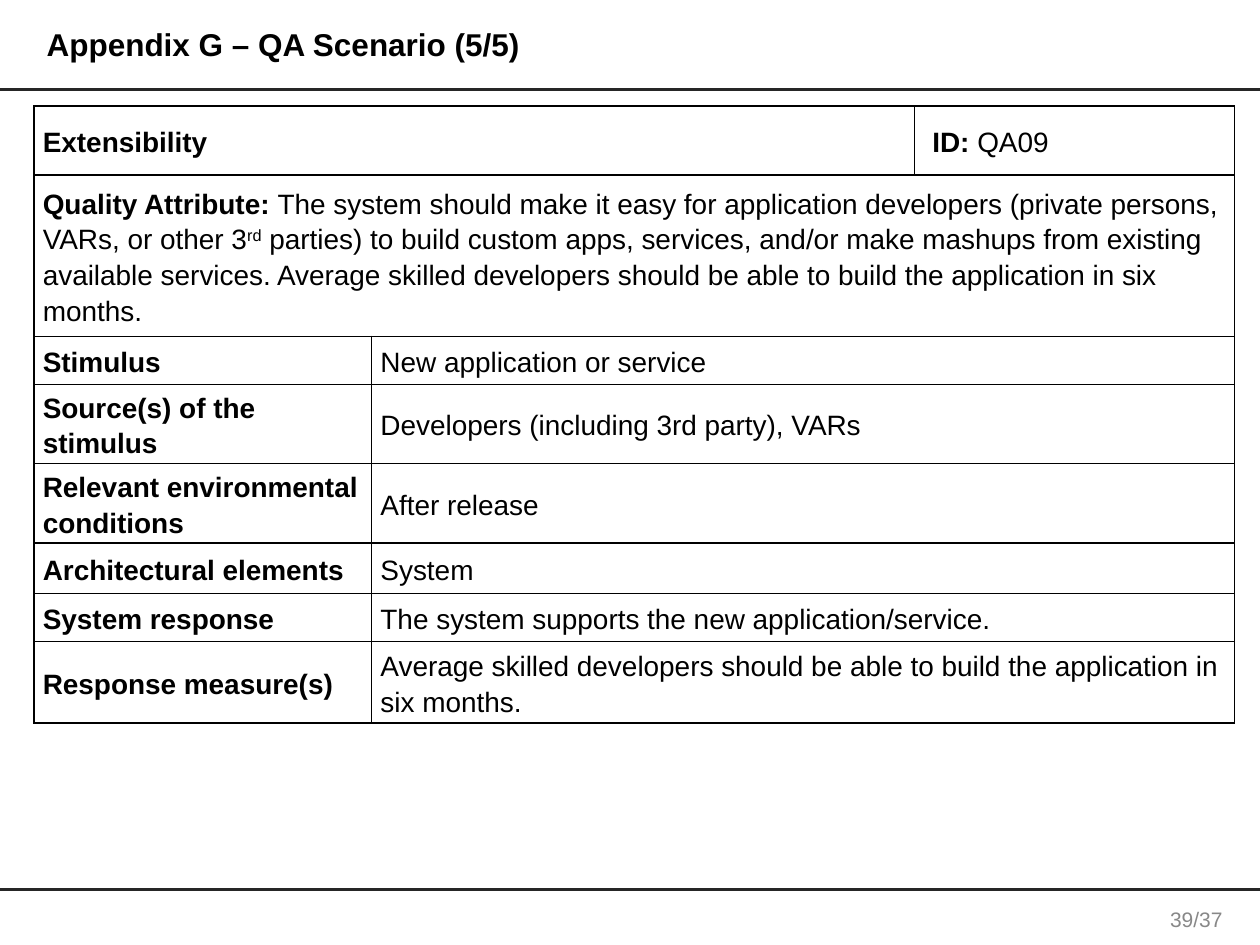
"""Build the extensibility quality attribute scenario slide."""
import pptx
import pptx.dml.color
import pptx.enum.shapes
import pptx.enum.text
import pptx.oxml
import pptx.oxml.ns
import pptx.util
from pptx.util import Inches

MIDDLE = pptx.enum.text.MSO_ANCHOR.MIDDLE


def color(hex_string):
    return pptx.dml.color.RGBColor.from_string(hex_string)


def add_run(paragraph, text, size, hex_string="000000", bold=False):
    run = paragraph.add_run()
    run.text = text
    run.font.name = "Arial"
    run.font.size = pptx.util.Pt(size)
    run.font.bold = bold
    run.font.color.rgb = color(hex_string)
    return run


presentation = pptx.Presentation()
presentation.slide_width = Inches(10)
presentation.slide_height = Inches(7.5)
slide = presentation.slides.add_slide(presentation.slide_layouts[5])

for top in (0.71, 7.06):
    rule = slide.shapes.add_connector(
        pptx.enum.shapes.MSO_CONNECTOR.STRAIGHT, 0, Inches(top), Inches(10), Inches(top))
    rule.line.color.rgb = color("262626")
    rule.line.width = pptx.util.Pt(1.75)
    rule._element.spPr.append(pptx.oxml.parse_xml(
        f"<a:effectLst {pptx.oxml.ns.nsdecls('a')}/>"))

title = slide.shapes.title
title.left, title.top, title.width, title.height = map(Inches, (0.27, 0.1, 9.53, 0.53))
title_frame = title.text_frame
title_frame.vertical_anchor = MIDDLE
title_frame.margin_left = title_frame.margin_right = Inches(0.1)
title_frame.margin_top = title_frame.margin_bottom = Inches(0.1)
title_paragraph = title_frame.paragraphs[0]
title_paragraph.alignment = pptx.enum.text.PP_ALIGN.LEFT
title_paragraph.line_spacing = 0.9
add_run(title_paragraph, "Appendix G – QA Scenario (5/5)", 18, bold=True)

page_number = slide.shapes.add_textbox(Inches(9.11), Inches(7.14), Inches(0.77), Inches(0.31))
page_number.text_frame.word_wrap = True
page_number.text_frame.vertical_anchor = MIDDLE
page_paragraph = page_number.text_frame.paragraphs[0]
page_paragraph.alignment = pptx.enum.text.PP_ALIGN.CENTER
add_run(page_paragraph, "39/37", 12, "888888")

column_widths = (2.68, 4.31, 2.54)
row_heights = (0.55, 1.28, 0.38, 0.63, 0.63, 0.4, 0.38, 0.65)
scenario = (
    ("Stimulus", "New application or service"),
    ("Source(s) of the stimulus", "Developers (including 3rd party), VARs"),
    ("Relevant environmental conditions", "After release"),
    ("Architectural elements", "System"),
    ("System response", "The system supports the new application/service."),
    ("Response measure(s)", "Average skilled developers should be able to build "
     "the application in six months."),
)
table = slide.shapes.add_table(
    len(row_heights), len(column_widths),
    Inches(0.27), Inches(0.84), Inches(9.53), Inches(4.88)).table
table.first_row = table.horz_banding = False
for column, width in zip(table.columns, column_widths):
    column.width = Inches(width)
for row, height in zip(table.rows, row_heights):
    row.height = Inches(height)

for cell in table.iter_cells():
    cell.vertical_anchor = MIDDLE
    cell.margin_left = cell.margin_right = Inches(0.07)
    cell.margin_top = cell.margin_bottom = 0
    cell.text_frame.paragraphs[0].line_spacing = 1.15
    properties = cell._tc.get_or_add_tcPr()
    for side in "LRTB":
        properties.append(pptx.oxml.parse_xml(
            f"<a:ln{side} {pptx.oxml.ns.nsdecls('a')} w='12700'><a:solidFill>"
            f"<a:srgbClr val='000000'/></a:solidFill></a:ln{side}>"))
    cell.fill.background()

table.cell(0, 0).merge(table.cell(0, 1))
table.cell(1, 0).merge(table.cell(1, 2))
add_run(table.cell(0, 0).text_frame.paragraphs[0], "Extensibility", 16, bold=True)

id_paragraph = table.cell(0, 2).text_frame.paragraphs[0]
id_paragraph._p.get_or_add_pPr().set("indent", str(Inches(0.07)))
add_run(id_paragraph, "ID: ", 16, bold=True)
add_run(id_paragraph, "QA09", 16)

attribute_paragraph = table.cell(1, 0).text_frame.paragraphs[0]
add_run(attribute_paragraph, "Quality Attribute: ", 16, bold=True)
add_run(attribute_paragraph, "The system should make it easy for application developers "
        "(private persons, VARs, or other 3", 16)
ordinal = add_run(attribute_paragraph, "rd", 16)
ordinal.font._element.set("baseline", "30000")
add_run(attribute_paragraph, " parties) to build custom apps, services, and/or make mashups "
        "from existing available services. Average skilled developers should be able to "
        "build the application in six months.", 16)

for row_index, (label, description) in enumerate(scenario, start=2):
    table.cell(row_index, 1).merge(table.cell(row_index, 2))
    add_run(table.cell(row_index, 0).text_frame.paragraphs[0], label, 16, bold=True)
    add_run(table.cell(row_index, 1).text_frame.paragraphs[0], description, 16)

presentation.save("out.pptx")
